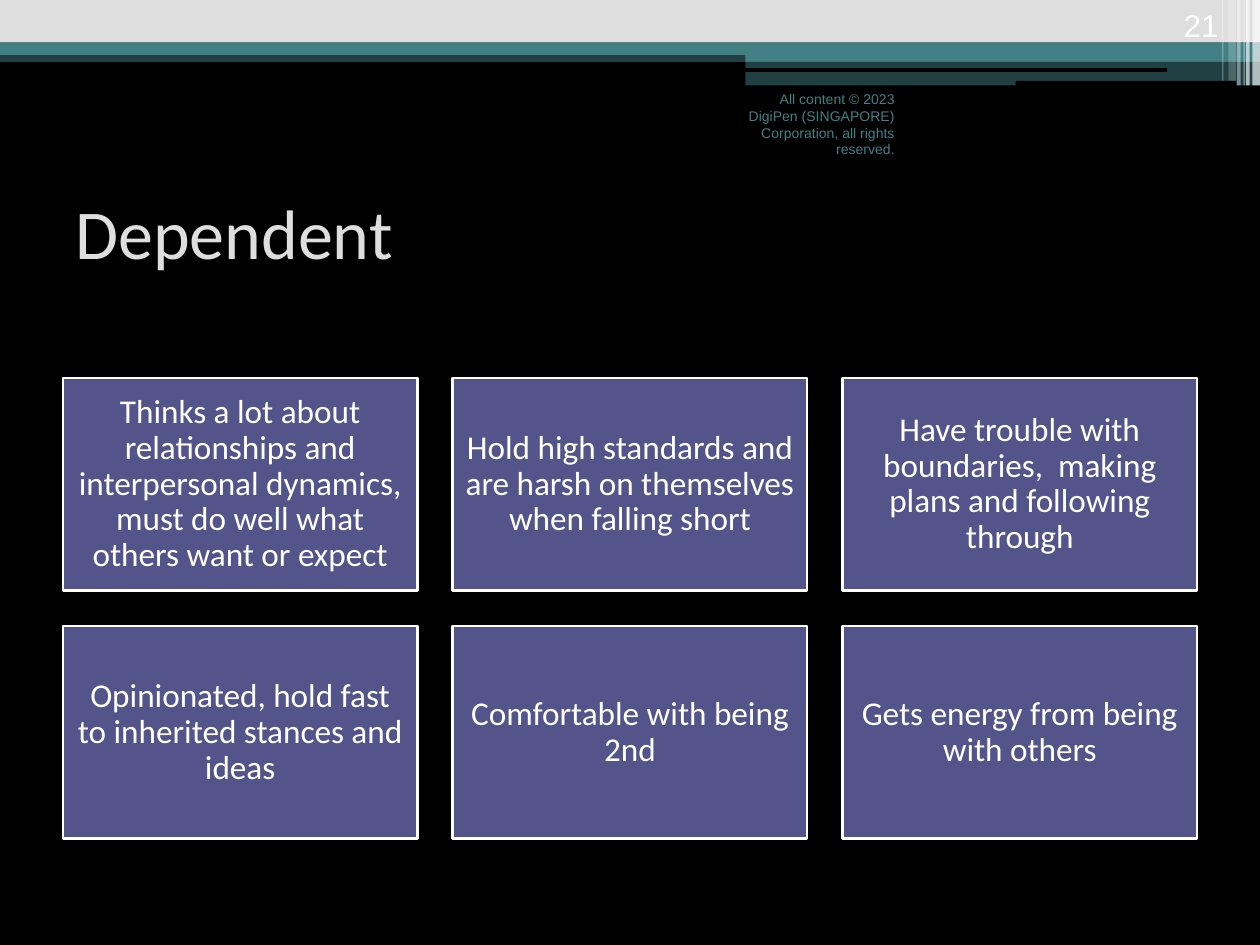
from lxml import etree
from pptx import Presentation
from pptx.dml.color import RGBColor
from pptx.enum.shapes import MSO_SHAPE
from pptx.enum.text import MSO_ANCHOR, PP_ALIGN
from pptx.oxml.ns import qn
from pptx.util import Pt

BLACK = RGBColor(0x00, 0x00, 0x00)
WHITE = RGBColor(0xFF, 0xFF, 0xFF)
GRAY = RGBColor(0xDE, 0xDE, 0xDE)
TEAL = RGBColor(0x43, 0x80, 0x86)
PURPLE = RGBColor(0x53, 0x54, 0x8A)

deck = Presentation()
deck.slide_width, deck.slide_height = Pt(720), Pt(540)
slide = deck.slides.add_slide(deck.slide_layouts[6])
slide.background.fill.solid()
slide.background.fill.fore_color.rgb = BLACK


def add_block(kind, area, color, alpha=100):
    """Add a filled shape without line or shadow; alpha is opacity in percent."""
    block = slide.shapes.add_shape(kind, *map(Pt, area))
    block.shadow.inherit = False
    block.line.fill.background()
    block.fill.solid()
    block.fill.fore_color.rgb = color
    if alpha < 100:
        tint = block.fill._xPr.find(qn("a:solidFill"))[0]
        etree.SubElement(tint, qn("a:alpha"), val=str(alpha * 1000))
    return block


def set_text(shape, text, anchor, align, **style):
    frame = shape.text_frame
    frame.word_wrap = True
    frame.vertical_anchor = anchor
    para = frame.paragraphs[0]
    para.alignment = align
    run = para.add_run()
    run.text = text
    run.font.color.rgb = style.pop("color")
    for name, value in style.items():
        setattr(run.font, name, value)
    return frame


# Header bands: left, top, width, height, color, opacity
bands = [
    (0, 28.8, 720, 6.6, TEAL, 50),
    (0, 0, 720, 24.4, GRAY, 100),
    (0, 24.2, 720, 7.2, TEAL, 100),
    (426, 28.2, 294, 7.1, TEAL, 100),
    (426, 34.7, 294, 14.1, TEAL, 50),
]
for *area, color, alpha in bands:
    add_block(MSO_SHAPE.RECTANGLE, area, color, alpha)

for area in [(425.7, 39, 241.2, 2.1), (580.4, 46.3, 126, 2.9)]:
    add_block(MSO_SHAPE.ROUNDED_RECTANGLE, area, BLACK)

# Light stripes at the right edge: left, width, height, opacity
stripes = [
    (715.7, 4.3, 48.8, 65),
    (712.1, 2, 48.8, 65),
    (710.6, 0.7, 48.8, 60),
    (707, 2, 48.8, 40),
    (702, 4.3, 46.1, 20),
    (698.4, 0.7, 46.1, 30),
]
for left, width, height, alpha in stripes:
    add_block(MSO_SHAPE.RECTANGLE, (left, 0, width, height), WHITE, alpha)

title = slide.shapes.add_textbox(Pt(36), Pt(90), Pt(648), Pt(84.25))
set_text(title, "Dependent", MSO_ANCHOR.MIDDLE, PP_ALIGN.LEFT,
         size=Pt(40), name="Calibri", color=GRAY)

# Grid of trait cards
traits = [
    "Thinks a lot about relationships and interpersonal dynamics, "
    "must do well what others want or expect",
    "Hold high standards and are harsh on themselves when falling short",
    "Have trouble with boundaries,  making plans and following through",
    "Opinionated, hold fast to inherited stances and ideas",
    "Comfortable with being 2nd",
    "Gets energy from being with others",
]
COLS, WIDE, HIGH, GAP = 3, 202.5, 121.5, 20.25
for index, trait in enumerate(traits):
    row, col = divmod(index, COLS)
    area = (36 + col * (WIDE + GAP), 216 + row * (HIGH + GAP), WIDE, HIGH)
    card = add_block(MSO_SHAPE.RECTANGLE, area, PURPLE)
    card.line.color.rgb = WHITE
    card.line.width = Pt(1.5)
    frame = set_text(card, trait, MSO_ANCHOR.MIDDLE, PP_ALIGN.CENTER,
                     size=Pt(19), name="Calibri", color=WHITE)
    frame.paragraphs[0].line_spacing = 0.9
    for side in ("left", "top", "right", "bottom"):
        setattr(frame, f"margin_{side}", Pt(5.7))

footer = slide.shapes.add_textbox(Pt(414), Pt(48.2), Pt(104.4), Pt(36))
set_text(footer,
         "All content © 2023 DigiPen (SINGAPORE) Corporation, all rights reserved.",
         MSO_ANCHOR.TOP, PP_ALIGN.RIGHT, size=Pt(8), name="Arial", color=TEAL)

number = slide.shapes.add_textbox(Pt(643.7), Pt(0), Pt(59.8), Pt(28.8))
set_text(number, "21", MSO_ANCHOR.BOTTOM, PP_ALIGN.RIGHT,
         size=Pt(18), name="Arial", color=WHITE)

deck.save("out.pptx")
